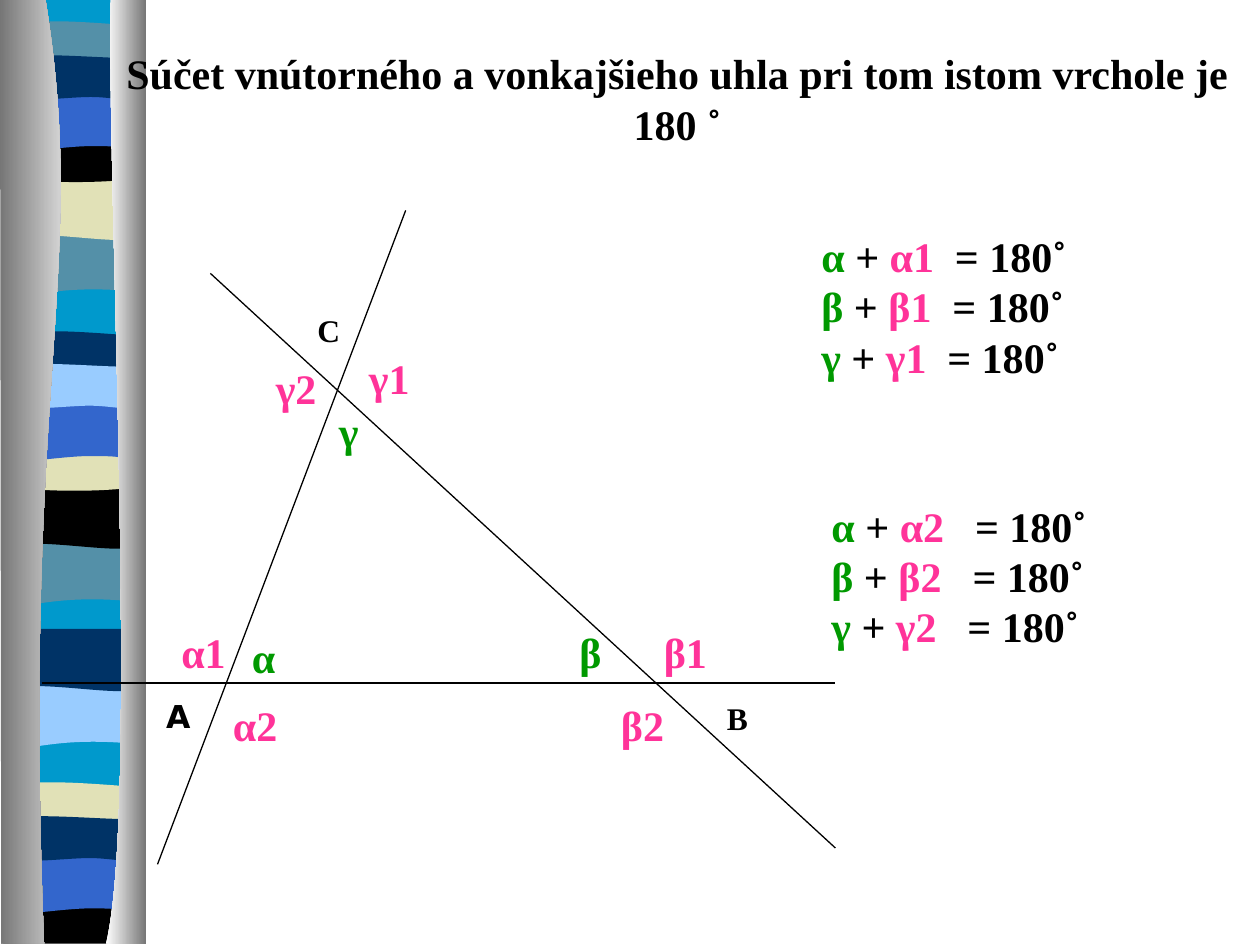
from lxml import etree
from pptx import Presentation
from pptx.dml.color import RGBColor
from pptx.enum.shapes import MSO_CONNECTOR
from pptx.enum.text import PP_ALIGN
from pptx.oxml.ns import qn
from pptx.util import Inches, Pt

BLACK = RGBColor(0x00, 0x00, 0x00)
GREEN = RGBColor(0x00, 0x99, 0x00)
PINK = RGBColor(0xFF, 0x33, 0x99)
TEAL = RGBColor(0x00, 0x99, 0xCC)
SLATE = RGBColor(0x54, 0x90, 0xA8)
SAND = RGBColor(0xE1, 0xE1, 0xB7)
BLUE = RGBColor(0x33, 0x66, 0xCC)
NAVY = RGBColor(0x00, 0x33, 0x66)
SKY = RGBColor(0x99, 0xCC, 0xFF)
GREY = RGBColor(0x76, 0x76, 0x76)
WHITE = RGBColor(0xFF, 0xFF, 0xFF)
SERIF = "Times New Roman"

# An outline is a start point, then lines (x, y) and Bezier curves (x1, y1, x2, y2, x, y).
RIBBON = [(1.14, -0.01), (1.14, 7.47), (0.06, 7.47), (0.06, -0.01)]
SWEEP = [(1.14, 1.85), (1.14, 2.32), (0.39, 2.24, 0.24, 2.4, 0.06, 2.32), (0.06, 1.85)]
SWELL = [(1.14, 1.41), (1.14, 1.88), (0.96, 1.96, 0.39, 1.82, 0.06, 1.88), (0.06, 1.41)]
CREST = [(1.14, 0.21), (1.14, 0.45), (0.96, 0.49, 0.24, 0.49, 0.06, 0.45), (0.06, 0.21),
         (0.12, 0.16, 0.29, 0.17, 0.47, 0.17), (0.65, 0.17, 1, 0.2, 1.14, 0.21)]
BOWL = [(1.14, 1.08), (1.14, 1.4), (0.96, 1.46, 0.24, 1.46, 0.06, 1.4), (0.06, 1.08),
        (0.72, 1.13, 0.91, 1.08, 1.14, 1.08)]
ARCH = [(1.14, 0.74), (1.14, 1.21), (0.97, 1.16, 0.9, 1.16, 0.72, 1.16),
        (0.54, 1.16, 0.22, 1.21, 0.06, 1.21), (0.06, 0.74)]
RIPPLE = [(1.14, 0.46), (1.14, 0.77), (1.07, 0.82, 0.9, 0.77, 0.72, 0.77),
          (0.54, 0.77, 0.17, 0.82, 0.06, 0.77), (0.06, 0.46),
          (0.21, 0.41, 0.79, 0.46, 0.97, 0.46), (1.15, 0.46, 1.1, 0.46, 1.14, 0.46)]
BOTTOM = [(1.14, 7.12), (1.14, 7.49), (0.06, 7.49), (0.06, 7.12),
          (0.71, 7.17, 0.9, 7.12, 1.14, 7.12)]
LEFT_EDGE = [(0.36, -0.01), (0.71, 2.16, 0.17, 2.96, 0.35, 7.49), (0.01, 7.49), (0, -0.01)]
RIGHT_EDGE = [(0.88, -0.01), (0.84, 1.25, 1.11, 6.46, 0.84, 7.49), (1.16, 7.49), (1.16, 0)]

# Outline, colour and shift right and down, from back to front.
BANDS = [
    (RIBBON, TEAL, 0, 0),
    (SWEEP, SLATE, 0, 0), (SWELL, SAND, 0, 0), (CREST, SLATE, 0, 0),
    (BOWL, BLACK, 0, 0), (ARCH, BLUE, 0, 0), (RIPPLE, NAVY, 0, 0),
    (SWEEP, SLATE, -0.01, 2.46), (SWELL, BLACK, -0.01, 2.45), (CREST, NAVY, -0.01, 2.46),
    (BOWL, SAND, -0.01, 2.45), (ARCH, BLUE, -0.01, 2.46), (RIPPLE, SKY, -0.01, 2.45),
    (SWEEP, SKY, 0, 3.59), (SWELL, NAVY, 0, 3.58), (CREST, SAND, -0.01, 6.04),
    (BOTTOM, BLACK, -0.01, 0), (ARCH, BLUE, -0.01, 6.05), (RIPPLE, NAVY, -0.01, 6.04),
]

TRIANGLE_LINES = [(0.33, 5.42, 6.63, 5.42), (3.22, 1.67, 1.25, 6.86), (1.67, 2.17, 6.63, 6.73)]

VERTICES = [("A", 1.22, 5.48, 0.39, "DejaVu Sans"), ("B", 5.67, 5.5, 0.36, SERIF),
            ("C", 2.42, 2.42, 0.38, SERIF)]
INNER_ANGLES = [("α", 1.9, 4.96, 0.38), ("β", 4.5, 4.92, 0.45), ("γ", 2.59, 3.17, 0.35)]
OUTER_ANGLES = [("α1", 1.34, 4.92, 0.55), ("β1", 5.17, 4.92, 0.58), ("γ1", 2.83, 2.75, 0.73),
                ("α2", 1.75, 5.5, 0.64), ("β2", 4.83, 5.5, 0.64), ("γ2", 2.09, 2.83, 0.52)]


def add_outline(slide, outline, right=0, down=0):
    """Draw all points as lines, then join each three that belong to a curve."""
    points = [(Inches(x + right), Inches(y + down))
              for segment in outline for x, y in zip(segment[::2], segment[1::2])]
    builder = slide.shapes.build_freeform(*points[0])
    builder.add_line_segments(points[1:], close=True)
    shape = builder.convert_to_shape()
    shape.shadow.inherit = False
    shape.line.fill.background()

    lines = iter(list(shape._element.iter(qn("a:lnTo"))))
    for segment in outline[1:]:
        first = next(lines)
        if len(segment) == 6:
            first.tag = qn("a:cubicBezTo")
            for _ in range(2):
                following = next(lines)
                first.append(following[0])
                following.getparent().remove(following)
    return shape


def add_band(slide, outline, color, right, down):
    fill = add_outline(slide, outline, right, down).fill
    fill.solid()
    fill.fore_color.rgb = color


def add_edge(slide, outline, left_color, right_color):
    fill = add_outline(slide, outline).fill
    fill.gradient()
    fill.gradient_angle = 0
    for stop, position, color in zip(fill.gradient_stops, (0, 1), (left_color, right_color)):
        stop.position = position
        stop.color.rgb = color


def add_line(slide, *ends):
    line = slide.shapes.add_connector(MSO_CONNECTOR.STRAIGHT, *map(Inches, ends))
    line.line.color.rgb = BLACK
    line.line.width = Pt(0.75)
    etree.SubElement(line._element.spPr, qn("a:effectLst"))


def add_text_frame(slide, left, top, width, height):
    box = slide.shapes.add_textbox(*map(Inches, (left, top, width, height)))
    box.text_frame.word_wrap = True
    return box.text_frame


def style(paragraph, size, color=BLACK, font_name=SERIF):
    font = paragraph.font
    font.name, font.size, font.bold = font_name, Pt(size), True
    font.color.rgb = color


def add_label(slide, text, left, top, width, size=24, color=BLACK, font_name=SERIF):
    frame = add_text_frame(slide, left, top, width, 0.5 if size == 24 else 0.4)
    frame.margin_right = 0
    paragraph = frame.paragraphs[0]
    paragraph.text = text
    style(paragraph, size, color, font_name)


def add_tab_stop(paragraph, position):
    tabs = etree.SubElement(paragraph._p.get_or_add_pPr(), qn("a:tabLst"))
    etree.SubElement(tabs, qn("a:tab"), pos=str(Inches(position)), algn="l")


def add_equations(slide, index, left, top, width, equals_at):
    """Write the sums of each inner angle and its outer angle of this index."""
    frame = add_text_frame(slide, left, top, width, 1.3)
    for row, (angle, inset) in enumerate(zip("αβγ", (0, 0.02, 0.06))):
        paragraph = frame.add_paragraph() if row else frame.paragraphs[0]
        add_tab_stop(paragraph, equals_at - inset)
        style(paragraph, 24)
        for text, color in ((angle, GREEN), (" + ", BLACK),
                            (f"{angle}{index}", PINK), ("\t= 180˚", BLACK)):
            run = paragraph.add_run()
            run.text = text
            run.font.color.rgb = color


def add_title(slide, text):
    paragraph = add_text_frame(slide, 0.75, 0.33, 9.25, 0.9).paragraphs[0]
    paragraph.text = text
    paragraph.alignment = PP_ALIGN.CENTER
    style(paragraph, 24)


def main():
    presentation = Presentation()
    presentation.slide_width, presentation.slide_height = Inches(10), Inches(7.5)
    slide = presentation.slides.add_slide(presentation.slide_layouts[6])

    for band in BANDS:
        add_band(slide, *band)
    add_edge(slide, LEFT_EDGE, GREY, WHITE)
    add_edge(slide, RIGHT_EDGE, WHITE, GREY)

    for ends in TRIANGLE_LINES:
        add_line(slide, *ends)
    add_equations(slide, 1, 6.42, 1.78, 4.41, 1.06)
    add_equations(slide, 2, 6.5, 3.92, 3.31, 1.14)
    add_title(slide, "Súčet vnútorného a vonkajšieho uhla pri tom istom vrchole je 180 ˚")
    for text, left, top, width, font_name in VERTICES:
        add_label(slide, text, left, top, width, size=18, font_name=font_name)
    for angles, color in ((INNER_ANGLES, GREEN), (OUTER_ANGLES, PINK)):
        for angle in angles:
            add_label(slide, *angle, color=color)

    presentation.save("out.pptx")


if __name__ == "__main__":
    main()
